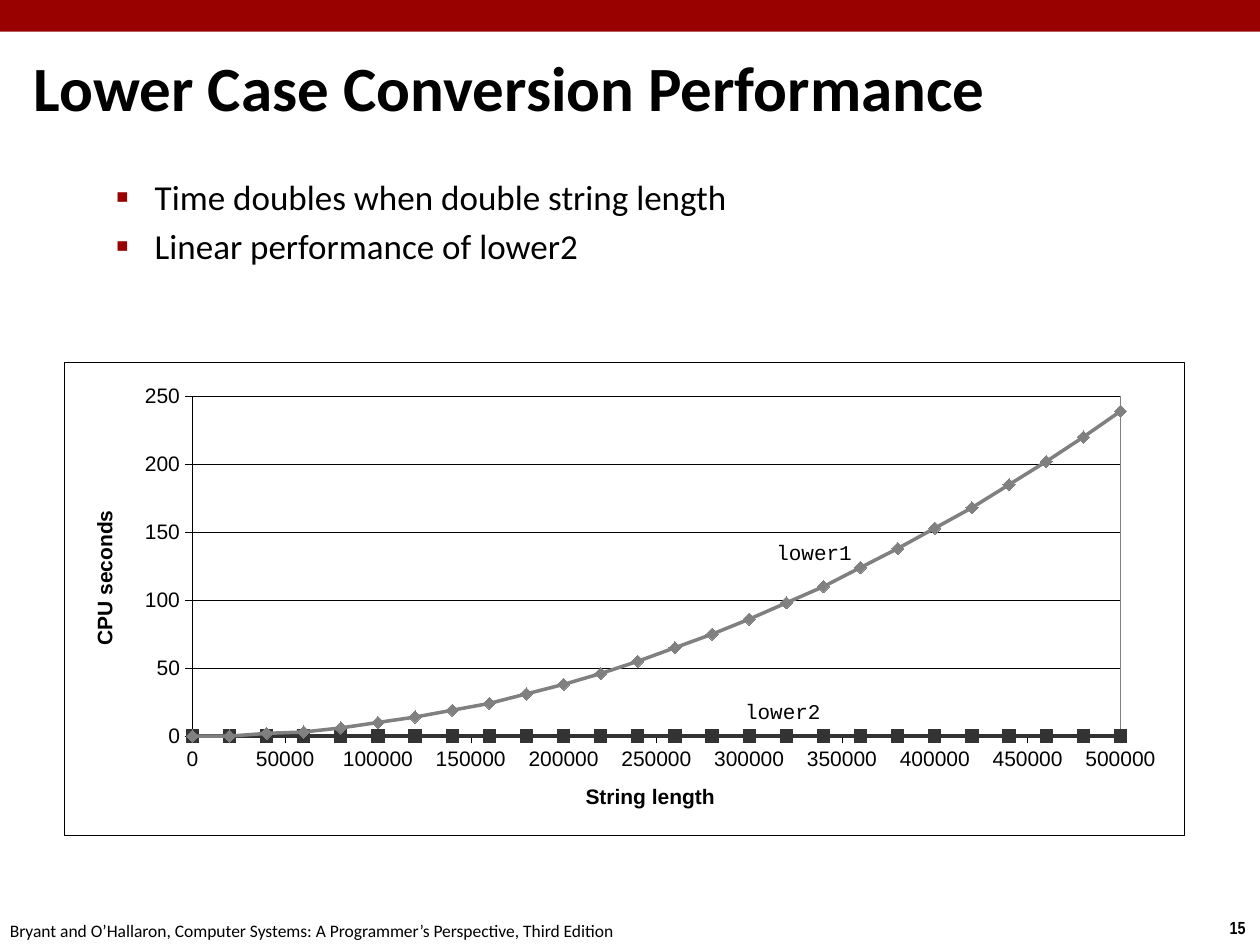
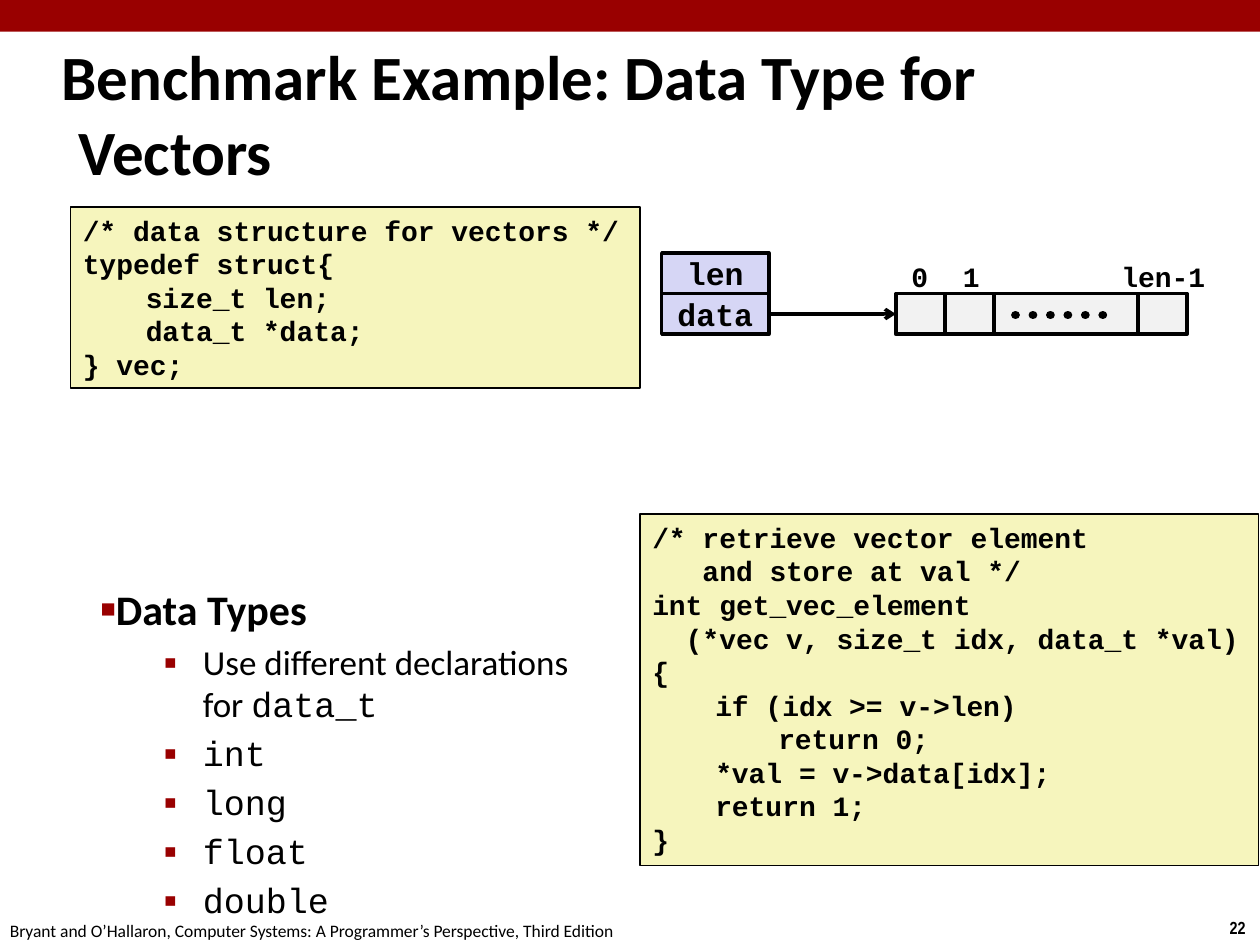
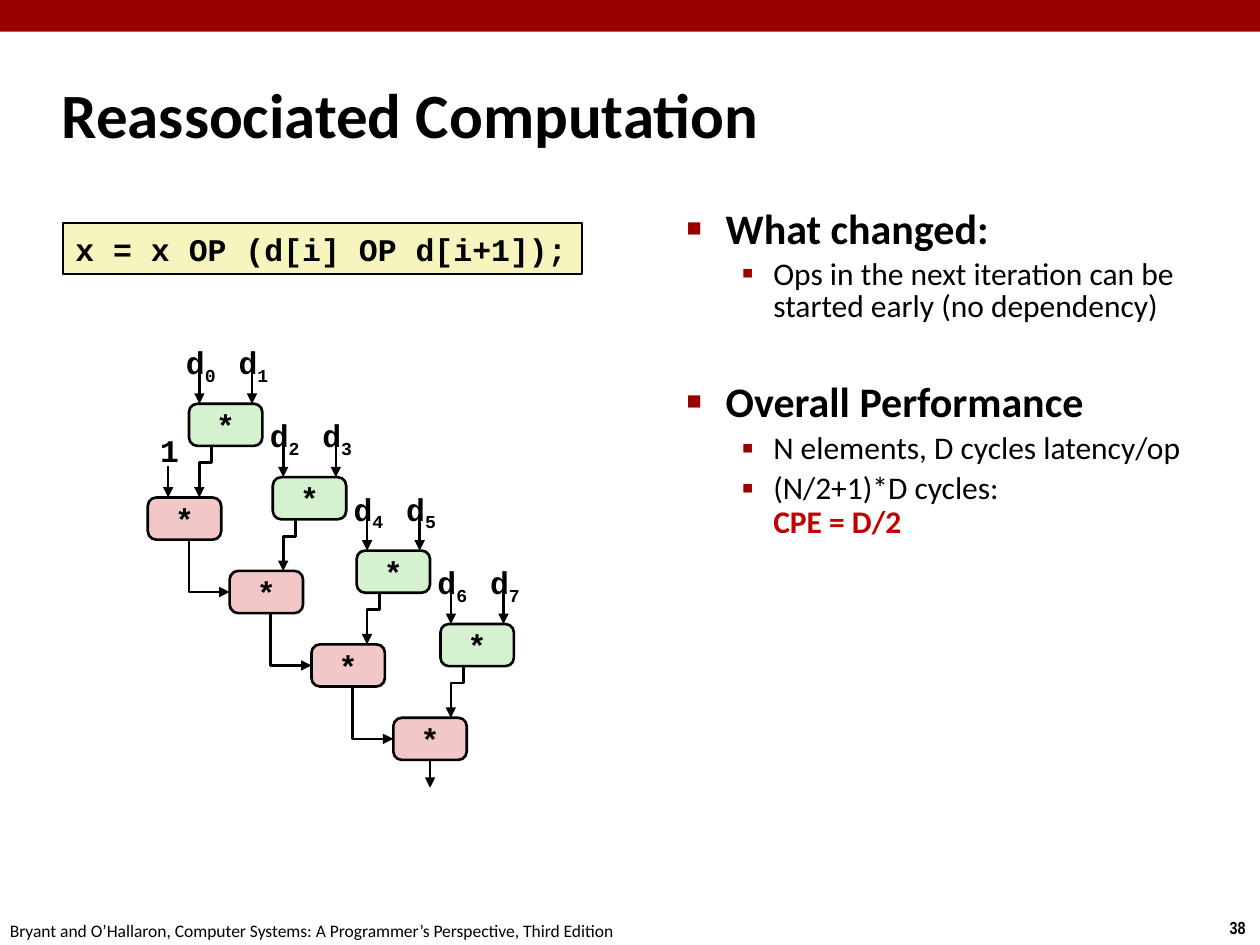
from dataclasses import dataclass, field
from typing import Any

import pptx
import pptx.chart.data
import pptx.dml.color
import pptx.enum.chart
import pptx.enum.dml
import pptx.enum.shapes
import pptx.enum.text
import pptx.oxml
import pptx.oxml.ns
import pptx.util

Cm = pptx.util.Cm
Pt = pptx.util.Pt
qn = pptx.oxml.ns.qn
SHAPE = pptx.enum.shapes.MSO_SHAPE
ALIGN = pptx.enum.text.PP_ALIGN
ANCHOR = pptx.enum.text.MSO_ANCHOR

BLACK, WHITE, CRIMSON, RED = "000000", "FFFFFF", "990000", "C00000"
CODE_FILL, FIELD_FILL, CELL_FILL = "F6F5BD", "D6D6F5", "F2F2F2"
GREEN_FILL, PINK_FILL = "D5F1CF", "F1C7C7"
GREY, DARK = "808080", "333333"
MONO = "Courier New"
FOOTER = "Bryant and O’Hallaron, Computer Systems: A Programmer’s Perspective, Third Edition"

TITLE = dict(size=36, name="Calibri", bold=True)
HEAD = dict(size=24, name="Calibri", bold=True)
ITEM = dict(size=20, name="Calibri")
SMALL_ITEM = dict(size=18, name="Calibri")
CODE = dict(size=16, name=MONO, bold=True)
BIG_CODE = dict(size=18, name=MONO, bold=True)
AXIS = dict(size=12, name="Arial")
NS = ('xmlns:a="http://schemas.openxmlformats.org/drawingml/2006/main" '
      'xmlns:c="http://schemas.openxmlformats.org/drawingml/2006/chart"')


@dataclass
class Run:
    text: str
    fmt: dict[str, Any]
    subscript: bool = False


@dataclass
class Para:
    runs: list[Run]
    align: Any = ALIGN.LEFT
    margin: float = 0
    indent: float = 0
    before: float = 0
    spacing: float = 1.0
    bullet: str = ""
    bullet_pct: int = 100
    tabs: tuple[float, ...] = ()


@dataclass
class Box:
    left: float
    top: float
    width: float
    height: float
    paras: list[Para] = field(default_factory=list)
    fill: str = ""
    line: float = 0
    shape: Any = SHAPE.RECTANGLE
    anchor: Any = ANCHOR.TOP
    wrap: bool = False
    inset: tuple[float, float, float, float] = (0.25, 0.13, 0.25, 0.13)


def rgb(value: str) -> pptx.dml.color.RGBColor:
    return pptx.dml.color.RGBColor.from_string(value)


def set_font(font: Any, fmt: dict[str, Any]) -> None:
    for name, value in ({"color": BLACK, "bold": False} | fmt).items():
        if name == "color":
            font.color.rgb = rgb(value)
        else:
            setattr(font, name, Pt(value) if name == "size" else value)


def set_line(line: Any, color: str, width: float) -> None:
    line.color.rgb = rgb(color)
    line.width = Pt(width)


def add_xml(parent: Any, tag: str, **attrs: Any) -> Any:
    child = pptx.oxml.parse_xml(f"<{tag} {NS}/>")
    for name, value in attrs.items():
        child.set(name, str(value))
    parent.append(child)
    return child


def fill_text(tf: Any, paras: list[Para]) -> None:
    for i, para in enumerate(paras):
        p = tf.paragraphs[0] if i == 0 else tf.add_paragraph()
        fmt = dict(alignment=para.align, line_spacing=para.spacing,
                   space_before=Pt(para.before if i else 0))
        for name, value in fmt.items():
            setattr(p, name, value)
        pPr = p._p.get_or_add_pPr()
        pPr.set("marL", str(Cm(para.margin)))
        pPr.set("indent", str(Cm(para.indent)))
        if para.bullet:
            add_xml(add_xml(pPr, "a:buClr"), "a:srgbClr", val=CRIMSON)
            add_xml(pPr, "a:buSzPct", val=para.bullet_pct * 1000)
            add_xml(pPr, "a:buFont", typeface="Arial")
            add_xml(pPr, "a:buChar", char=para.bullet)
        if para.tabs:
            stops = add_xml(pPr, "a:tabLst")
            for pos in para.tabs:
                add_xml(stops, "a:tab", pos=Cm(pos), algn="l")
        for run in para.runs:
            for j, piece in enumerate(run.text.split("\n")):
                if j:
                    p.add_line_break()
                if piece:
                    r = p.add_run()
                    r.text = piece
                    set_font(r.font, run.fmt)
                    if run.subscript:
                        r._r.get_or_add_rPr().set("baseline", "-25000")


def add_box(s: Any, box: Box) -> Any:
    area = [Cm(v) for v in (box.left, box.top, box.width, box.height)]
    if box.fill:
        sp = s.shapes.add_shape(box.shape, *area)
        sp.shadow.inherit = False
        sp.fill.solid()
        sp.fill.fore_color.rgb = rgb(box.fill)
        if box.line:
            set_line(sp.line, BLACK, box.line)
        else:
            sp.line.fill.background()
        if box.shape == SHAPE.ROUNDED_RECTANGLE:
            sp.adjustments[0] = 0.2
    else:
        sp = s.shapes.add_textbox(*area)
    tf = sp.text_frame
    fmt = dict(word_wrap=box.wrap, vertical_anchor=box.anchor)
    sides = ("margin_left", "margin_top", "margin_right", "margin_bottom")
    fmt |= dict(zip(sides, map(Cm, box.inset)))
    for name, value in fmt.items():
        setattr(tf, name, value)
    fill_text(tf, box.paras)
    return sp


def add_line(s: Any, x1: float, y1: float, x2: float, y2: float, width: float,
             tail: str = "") -> Any:
    kind = pptx.enum.shapes.MSO_CONNECTOR.STRAIGHT
    sp = s.shapes.add_connector(kind, Cm(x1), Cm(y1), Cm(x2), Cm(y2))
    set_line(sp.line, BLACK, width)
    if tail:
        add_xml(sp.line._get_or_add_ln(), "a:tailEnd", type=tail)
    add_xml(sp._element.spPr, "a:effectLst")
    return sp


def add_elbow(s: Any, points: list[tuple[float, float]]) -> None:
    start, *rest = [(Cm(x), Cm(y)) for x, y in points]
    builder = s.shapes.build_freeform(*start)
    builder.add_line_segments(rest, close=False)
    sp = builder.convert_to_shape()
    sp.shadow.inherit = False
    sp.fill.background()
    set_line(sp.line, BLACK, 1.5)
    add_xml(sp.line._get_or_add_ln(), "a:tailEnd", type="triangle")


def centred(text: str, fmt: dict[str, Any], sub: str = "") -> list[Para]:
    runs = [Run(text, fmt)] + ([Run(sub, fmt, True)] if sub else [])
    return [Para(runs, ALIGN.CENTER)]


def code_box(left: float, top: float, width: float, height: float, code: str,
             fmt: dict[str, Any], tabs: tuple[float, ...] = ()) -> Box:
    paras = [Para([Run(text, fmt)], tabs=tabs) for text in code.split("\n")]
    return Box(left, top, width, height, paras, CODE_FILL, 1, wrap=True)


def head(text: str, **fmt: Any) -> Para:
    return Para([Run(text, HEAD)], bullet="■", bullet_pct=60, **fmt)


def item(*runs: Run, margin: float = 2.06, indent: float = -0.79,
         before: float = 4, spacing: float = 1.0) -> Para:
    return Para(list(runs), margin=margin, indent=indent, before=before,
                spacing=spacing, bullet="▪", bullet_pct=110)


def new_slide(prs: Any, title: str, number: int,
              area: tuple[float, float, float, float] = (0.99, 1.22, 21.08, 2.11)) -> Any:
    s = prs.slides.add_slide(prs.slide_layouts[5])
    sp = s.shapes.title
    for name, value in zip(("left", "top", "width", "height"), area):
        setattr(sp, name, Cm(value))
    tf = sp.text_frame
    tf.auto_size = pptx.enum.text.MSO_AUTO_SIZE.NONE
    tf.vertical_anchor = ANCHOR.MIDDLE
    fill_text(tf, [Para([Run(title, TITLE)], margin=0.33, indent=-0.33)])
    add_box(s, Box(0, 0, 25.4, 0.64, fill=CRIMSON))
    number_fmt = dict(size=10, name="Arial Narrow", bold=True)
    add_box(s, Box(24.54, 18.36, 0.86, 0.69, [Para([Run(str(number), number_fmt)])]))
    add_box(s, Box(-0.05, 18.42, 12.9, 0.69,
                   [Para([Run(FOOTER, dict(size=10, name="Calibri"))])], wrap=True))
    return s


def format_axis(axis: Any, title: str, maximum: float, unit: float) -> None:
    fmt = dict(minimum_scale=0, maximum_scale=maximum, major_unit=unit,
               major_tick_mark=pptx.enum.chart.XL_TICK_MARK.OUTSIDE,
               minor_tick_mark=pptx.enum.chart.XL_TICK_MARK.NONE)
    for name, value in fmt.items():
        setattr(axis, name, value)
    set_line(axis.format.line, BLACK, 0.25)
    set_font(axis.tick_labels.font, AXIS)
    tf = axis.axis_title.text_frame
    fill_text(tf, [Para([Run(title, AXIS | dict(bold=True))])])


def add_performance_chart(s: Any) -> None:
    lower1 = [0, 0, 2, 3, 6, 10, 14, 19, 24, 31, 38, 46, 55, 65, 75, 86, 98,
              110, 124, 138, 153, 168, 185, 202, 220, 239]
    marker = pptx.enum.chart.XL_MARKER_STYLE
    series = [("Series 1", lower1, GREY, marker.DIAMOND),
              ("Series 2", [0] * len(lower1), DARK, marker.SQUARE)]
    data = pptx.chart.data.XyChartData()
    for name, values, _, _ in series:
        ser = data.add_series(name)
        for i, value in enumerate(values):
            ser.add_data_point(20000 * i, value)
    chart = s.shapes.add_chart(pptx.enum.chart.XL_CHART_TYPE.XY_SCATTER_SMOOTH, Cm(1.3),
                               Cm(7.29), Cm(22.58), Cm(9.55), data).chart
    chart.has_legend = chart.has_title = False
    set_font(chart.font, AXIS)
    format_axis(chart.category_axis, "String length", 500000, 50000)
    format_axis(chart.value_axis, "CPU seconds", 250, 50)
    chart.category_axis.has_major_gridlines = False
    chart.value_axis.has_major_gridlines = True
    set_line(chart.value_axis.major_gridlines.format.line, BLACK, 0.25)
    body = chart.value_axis.axis_title.text_frame._txBody.bodyPr
    body.set("rot", "-5400000")
    body.set("vert", "horz")
    chart.plots[0].vary_by_categories = False
    for ser, (_, _, color, style) in zip(chart.plots[0].series, series):
        ser.smooth = True
        set_line(ser.format.line, color, 2)
        ser.marker.style = style
        ser.marker.size = 7
        ser.marker.format.fill.solid()
        ser.marker.format.fill.fore_color.rgb = rgb(color)
        set_line(ser.marker.format.line, color, 0.75)

    space = chart._chartSpace
    plot = space.find(".//" + qn("c:plotArea"))
    for old in plot.findall(qn("c:layout")):
        plot.remove(old)
    layout = pptx.oxml.parse_xml(f"<c:layout {NS}/>")
    manual = add_xml(layout, "c:manualLayout")
    for tag, value in dict(layoutTarget="inner", xMode="edge", yMode="edge",
                           x=0.114, y=0.073, w=0.829, h=0.718).items():
        add_xml(manual, f"c:{tag}", val=value)
    plot.insert(0, layout)
    frame = ('<c:spPr {ns}>{fill}<a:ln w="3175"><a:solidFill><a:srgbClr val="{color}"/>'
             '</a:solidFill></a:ln></c:spPr>')
    plot.append(pptx.oxml.parse_xml(frame.format(ns=NS, fill="<a:noFill/>", color=GREY)))
    white = f'<a:solidFill><a:srgbClr val="{WHITE}"/></a:solidFill>'
    space.find(qn("c:txPr")).addprevious(
        pptx.oxml.parse_xml(frame.format(ns=NS, fill=white, color=BLACK)))


def performance_slide(prs: Any) -> None:
    s = new_slide(prs, "Lower Case Conversion Performance", 15, (0.43, 0.94, 24.33, 1.6))
    add_box(s, Box(0.81, 3.4, 23.09, 2.51, [
        item(Run("Time doubles when double string length", ITEM)),
        item(Run("Linear performance of lower2", ITEM))], wrap=True))
    add_performance_chart(s)
    for left, top, name in ((15.57, 10.8, "lower1"), (14.94, 14, "lower2")):
        add_box(s, Box(left, top, 1.63, 0.61, [Para([Run(name, dict(size=12, name=MONO))])],
                       inset=(0.08, 0.08, 0, 0)))


def vector_slide(prs: Any) -> None:
    s = new_slide(prs, "Benchmark Example: Data Type for Vectors", 22)
    struct_code = """/* data structure for vectors */
typedef struct{
\tsize_t len;
\tdata_t *data;
} vec;"""
    get_code = """/* retrieve vector element
   and store at val */
int get_vec_element
  (*vec v, size_t idx, data_t *val)
{
\tif (idx >= v->len)
\t\treturn 0;
\t*val = v->data[idx];
\treturn 1;
}"""
    add_box(s, code_box(1.42, 4.17, 11.48, 3.66, struct_code, CODE, (1.27,)))
    add_box(s, code_box(12.9, 10.36, 12.47, 7.09, get_code, CODE, (1.43, 2.86)))

    row_top, row_height = 5.92, 0.82
    fields = [add_box(s, Box(13.34, row_top + (i - 1) * row_height, 2.16, row_height,
                             centred(name, BIG_CODE), FIELD_FILL, 2, anchor=ANCHOR.MIDDLE))
              for i, name in enumerate(("len", "data"))]
    cells, left = [], 18.06
    for width in (0.99, 0.99, 2.9, 0.99):
        cells.append(add_box(s, Box(left, row_top, width, row_height,
                                    fill=CELL_FILL, line=2)))
        left += width
    pointer = add_line(s, 15.5, 6.33, 18.06, 6.33, 2, "arrow")
    pointer.begin_connect(fields[1], 3)
    pointer.end_connect(cells[0], 1)
    for left, width, text in ((18.11, 0.86, "0"), (19.15, 0.86, "1"), (22.33, 2.24, "len-1")):
        add_box(s, Box(left, 5.11, width, 0.94, centred(text, CODE)))
    dots = add_line(s, 20.47, 6.35, 22.5, 6.35, 5)
    dots.line.dash_style = pptx.enum.dml.MSO_LINE.ROUND_DOT
    dots.line._get_or_add_ln().set("cap", "rnd")

    mono = ITEM | dict(name=MONO)
    types = [item(Run(name, mono)) for name in ("int", "long", "float", "double")]
    add_box(s, Box(1.78, 11.63, 10.74, 6.17, [
        head("Data Types"),
        item(Run("Use different declarations for ", ITEM), Run("data_t", mono)),
        *types], wrap=True))


def reassociation_slide(prs: Any) -> None:
    s = new_slide(prs, "Reassociated Computation", 38)
    narrow = dict(margin=1.75, indent=-0.64, before=3.6)
    outer = dict(margin=0.79, indent=-0.79, spacing=0.85)
    add_box(s, Box(13.59, 4.11, 10.97, 14.5, [
        head("What changed:", **outer),
        item(Run("Ops in the next iteration can be started early (no dependency)", SMALL_ITEM),
             spacing=0.85, **narrow),
        head("Overall Performance", before=34, **outer),
        item(Run("N elements, D cycles latency/op", SMALL_ITEM), spacing=0.9, **narrow),
        item(Run("(N/2+1)*D cycles:\n", SMALL_ITEM),
             Run("CPE = D/2", SMALL_ITEM | dict(color=RED, bold=True)),
             spacing=0.9, **narrow)], wrap=True))
    add_box(s, code_box(1.27, 4.5, 10.46, 1.02, "x = x OP (d[i] OP d[i+1]);", BIG_CODE))

    width, height, drop = 1.48, 0.85, 1.48
    tight = (0.13,) * 4

    def add_op(left: float, top: float, fill: str) -> Any:
        return add_box(s, Box(left, top, width, height, centred("*", BIG_CODE), fill, 1.5,
                              SHAPE.ROUNDED_RECTANGLE, ANCHOR.MIDDLE))

    for i in range(4):
        pair_x, pair_y = 3.81 + 1.69 * i, 8.14 + drop * i
        acc_x, acc_y = 2.98 + 1.65 * i, 10.03 + drop * i
        acc = add_op(acc_x, acc_y, PINK_FILL)
        add_op(pair_x, pair_y, GREEN_FILL)
        for j in range(2):
            x = pair_x + 0.21 + 1.06 * j
            add_box(s, Box(x - 0.41, pair_y - 1.36, 0.88, 1.02,
                           centred("d", BIG_CODE, str(2 * i + j)), inset=tight))
            add_line(s, x, pair_y - 0.64, x, pair_y, 1.5, "triangle")
        out_x, in_x, bottom = pair_x + 0.46, pair_x + 0.21, pair_y + height
        add_elbow(s, [(out_x, bottom), (out_x, bottom + 0.34),
                      (in_x, bottom + 0.34), (in_x, acc_y)])
        if i < 3:
            x, y = acc_x + 0.83, acc_y + drop + height / 2
            add_elbow(s, [(x, acc_y + height), (x, y), (acc_x + 1.65, y)])
    result_x = acc_x + width / 2
    result = add_line(s, result_x, acc_y + height, result_x, 15.88, 1.5, "triangle")
    result.begin_connect(acc, 2)
    add_box(s, Box(3.1, 8.56, 0.64, 1.02, centred("1", BIG_CODE), inset=tight))
    add_line(s, 3.39, 9.4, 3.39, 10.03, 1.5, "triangle")


def main() -> None:
    prs = pptx.Presentation()
    prs.slide_width, prs.slide_height = Cm(25.4), Cm(19.05)
    performance_slide(prs)
    vector_slide(prs)
    reassociation_slide(prs)
    prs.save("out.pptx")


if __name__ == "__main__":
    main()
